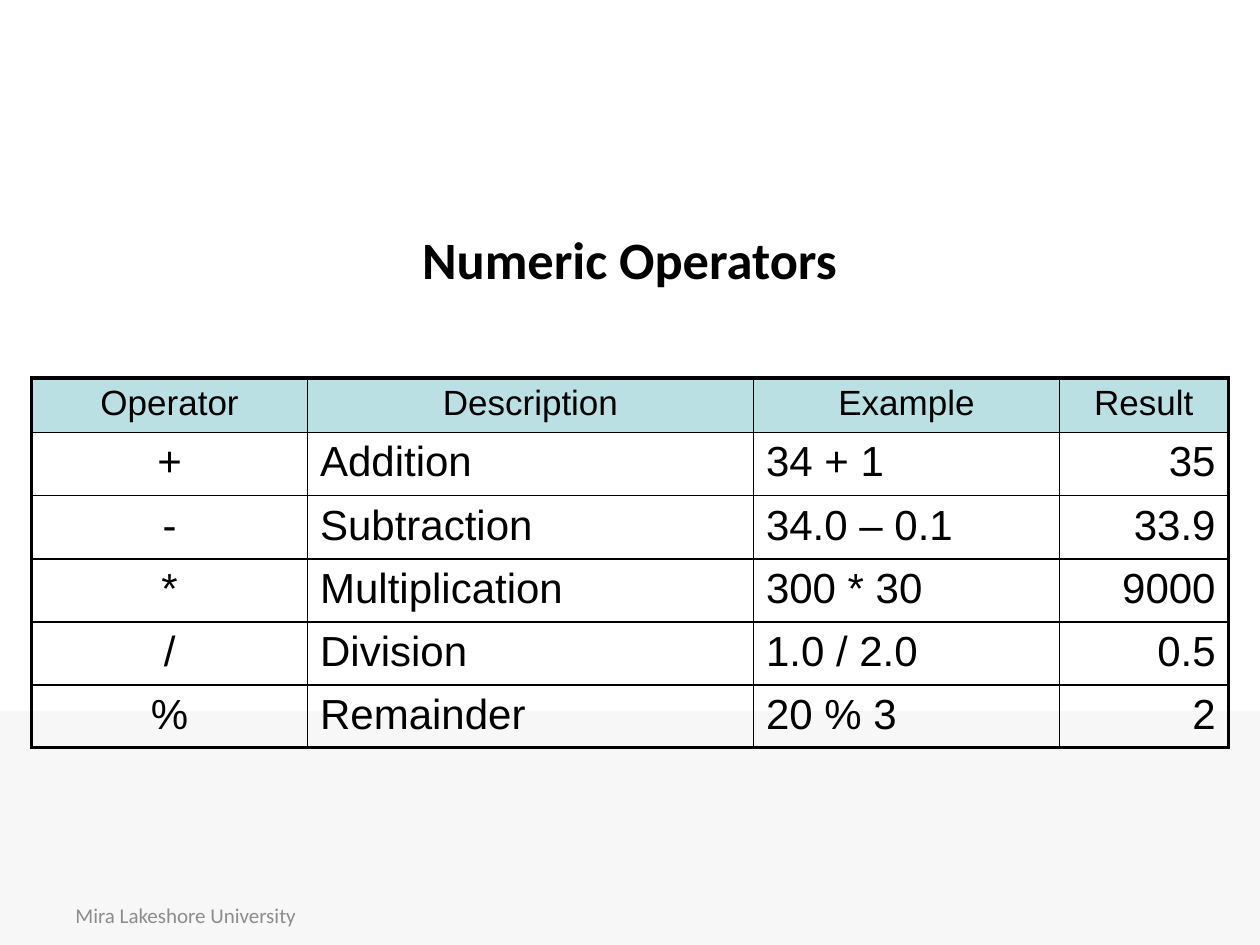
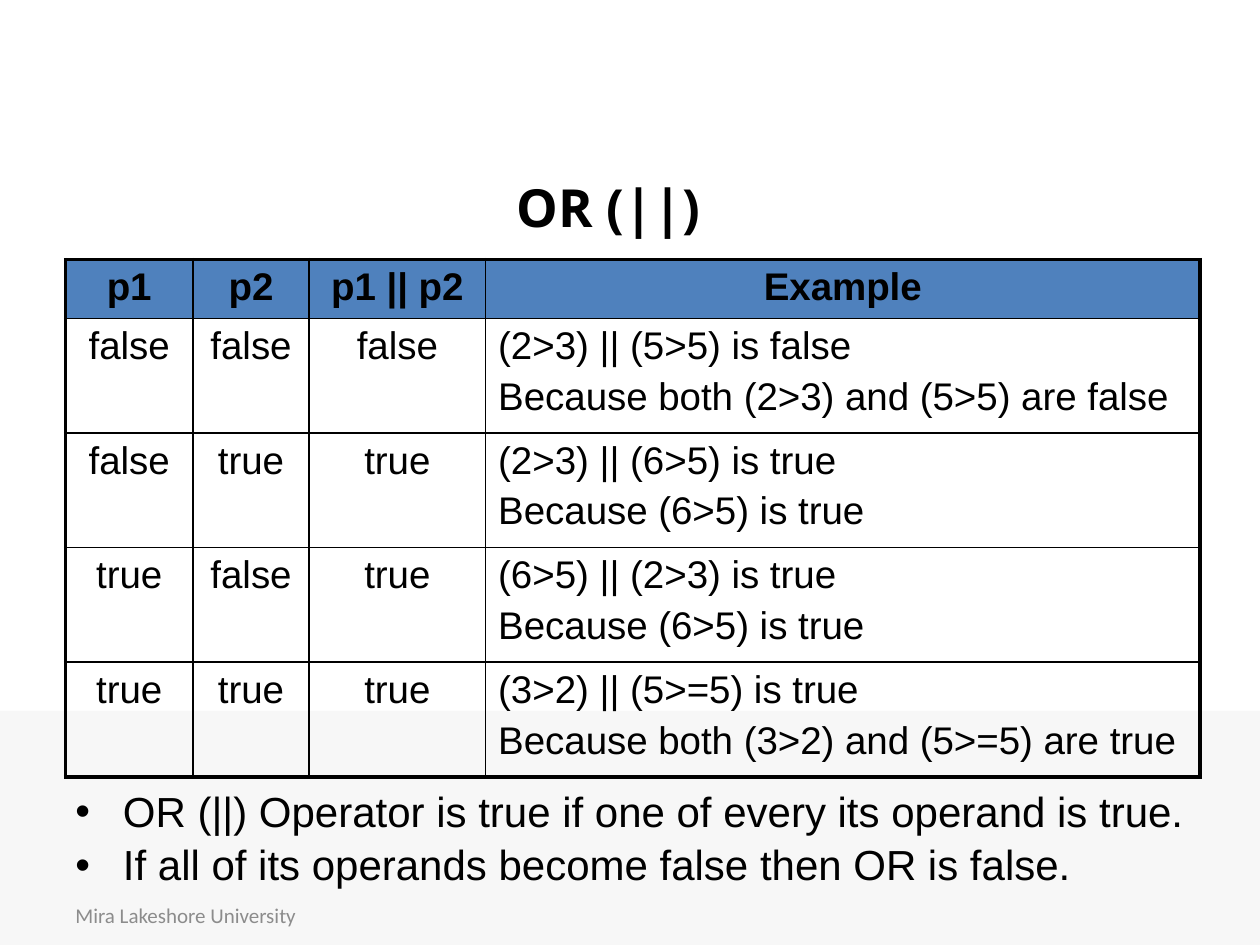
from lxml.etree import SubElement
from pptx import Presentation
from pptx.dml.color import RGBColor
from pptx.enum.shapes import MSO_SHAPE
from pptx.enum.text import MSO_ANCHOR, MSO_AUTO_SIZE, PP_ALIGN
from pptx.oxml.ns import qn
from pptx.util import Cm, Pt

COLOURS = {
    "text": "000000",
    "border": "000000",
    "band": "F7F7F7",
    "footer": "8C8C8C",
    "aqua": "BBE0E3",
    "blue": "4F81BD",
}
WIDTH, HEIGHT = 25.4, 19.05
INDENT = 0.96
LEFT, CENTER, RIGHT = PP_ALIGN.LEFT, PP_ALIGN.CENTER, PP_ALIGN.RIGHT
TITLE_FONT = {"name": "Calibri", "size": Pt(30), "bold": True}

NUMERIC_TABLE = {
    "columns": [5.56, 8.99, 6.17, 3.4],
    "alignments": [CENTER, LEFT, LEFT, RIGHT],
    "row_heights": [1.03] + [1.2] * 5,
    "header_fill": "aqua",
    "header_font": {"name": "Arial", "size": Pt(20), "bold": False},
    "body_font": {"name": "Arial", "size": Pt(24), "bold": False},
    "outer_width": 2,
    "paragraph": {"hanging": True},
    "rows": [
        ["Operator", "Description", "Example", "Result"],
        ["+", "Addition", "34 + 1", "35"],
        ["-", "Subtraction", "34.0 – 0.1", "33.9"],
        ["*", "Multiplication", "300 * 30", "9000"],
        ["/", "Division", "1.0 / 2.0", "0.5"],
        ["%", "Remainder", "20 % 3", "2"],
    ],
}
OR_TABLE = {
    "columns": [2.57, 2.34, 3.56, 14.4],
    "alignments": [CENTER, CENTER, CENTER, LEFT],
    "row_heights": [1.19] + [2.31] * 4,
    "header_fill": "blue",
    "header_font": {"name": "Arial", "size": Pt(22), "bold": True},
    "body_font": {"name": "Arial", "size": Pt(22), "bold": False},
    "outer_width": 2.25,
    "paragraph": {"space_before": 20},
    "rows": [
        ["p1", "p2", "p1 || p2", "Example"],
        ["false", "false", "false",
         "(2>3) || (5>5) is false\nBecause both (2>3) and (5>5) are false"],
        ["false", "true", "true",
         "(2>3) || (6>5) is true\nBecause (6>5) is true"],
        ["true", "false", "true",
         "(6>5) || (2>3) is true\nBecause (6>5) is true"],
        ["true", "true", "true",
         "(3>2) || (5>=5) is true\nBecause both (3>2) and (5>=5) are true"],
    ],
}
OR_NOTES = [
    "OR (||) Operator is true if one of every its operand is true.",
    "If all of its operands become false then OR is false.",
]


def apply_format(target, values):
    """Set each attribute of the target from a dict of format values."""
    for name, value in values.items():
        setattr(target, name, value)


def colour(name):
    """Return the named palette colour."""
    return RGBColor.from_string(COLOURS[name])


def style_paragraph(paragraph, hanging=False, space_before=None, bullet=None):
    """Set hanging indent, percentage space before and bullet."""
    properties = paragraph._p.get_or_add_pPr()
    if hanging:
        properties.set("marL", str(Cm(INDENT)))
        properties.set("indent", str(-Cm(INDENT)))
    if space_before:
        spacing = SubElement(properties, qn("a:spcBef"))
        SubElement(spacing, qn("a:spcPct"), val=str(space_before * 1000))
    if bullet:
        SubElement(properties, qn("a:buFont"), typeface="Arial")
        SubElement(properties, qn("a:buChar"), char=bullet)


def write_lines(text_frame, lines, font, text_colour="text", layout=None, **style):
    """Write one styled paragraph for each line."""
    for index, line in enumerate(lines):
        paragraph = text_frame.add_paragraph() if index else text_frame.paragraphs[0]
        apply_format(paragraph, layout or {})
        style_paragraph(paragraph, **style)
        run = paragraph.add_run()
        run.text = line
        apply_format(run.font, font)
        run.font.color.rgb = colour(text_colour)


def add_text(slide, box, lines, font, frame=None, **style):
    """Add a wrapping text box in the given box."""
    text_frame = slide.shapes.add_textbox(*map(Cm, box)).text_frame
    apply_format(text_frame, {"word_wrap": True, **(frame or {})})
    write_lines(text_frame, lines, font, **style)


def set_borders(cell, widths):
    """Draw the left, right, top and bottom borders of a cell."""
    properties = cell._tc.get_or_add_tcPr()
    for side, width in zip("LRTB", widths):
        line = SubElement(properties, qn(f"a:ln{side}"), w=str(Pt(width)))
        fill = SubElement(line, qn("a:solidFill"))
        SubElement(fill, qn("a:srgbClr"), val=COLOURS["border"])


def add_grid(slide, left, top, content):
    """Add a bordered table with a filled header row."""
    rows, columns, heights = (content[key] for key in ("rows", "columns", "row_heights"))
    box = (left, top, sum(columns), sum(heights))
    table = slide.shapes.add_table(len(rows), len(columns), *map(Cm, box)).table
    apply_format(table, {"first_row": False, "horz_banding": False})
    for column, width in zip(table.columns, columns):
        column.width = Cm(width)
    for row, height in zip(table.rows, heights):
        row.height = Cm(height)
    last_row, last_column = len(rows) - 1, len(columns) - 1
    for row_index, row in enumerate(rows):
        header = row_index == 0
        for column_index, text in enumerate(row):
            cell = table.cell(row_index, column_index)
            edges = (column_index == 0, column_index == last_column,
                     header, row_index == last_row)
            set_borders(cell, [content["outer_width"] if edge else 1 for edge in edges])
            if header:
                cell.fill.solid()
                cell.fill.fore_color.rgb = colour(content["header_fill"])
            else:
                cell.fill.background()
            alignment = CENTER if header else content["alignments"][column_index]
            write_lines(cell.text_frame, text.split("\n"),
                        content["header_font" if header else "body_font"],
                        layout={"alignment": alignment}, **content["paragraph"])


def add_base_slide(presentation):
    """Add a blank slide with the shared lower band and footer."""
    slide = presentation.slides.add_slide(presentation.slide_layouts[6])
    band_top = 14.33
    band = slide.shapes.add_shape(
        MSO_SHAPE.RECTANGLE, *map(Cm, (0, band_top, WIDTH, HEIGHT - band_top)))
    band.shadow.inherit = False
    band.fill.solid()
    band.fill.fore_color.rgb = colour("band")
    band.line.fill.background()
    add_text(slide, (1.27, 17.93, 5.92, 1.02), ["Mira Lakeshore University"],
             {"name": "Calibri", "size": Pt(12)}, text_colour="footer",
             frame={"vertical_anchor": MSO_ANCHOR.MIDDLE})
    return slide


def build_numeric_slide(presentation):
    """Build the slide of numeric operators."""
    slide = add_base_slide(presentation)
    add_grid(slide, 0.64, 7.62, NUMERIC_TABLE)
    add_text(slide, (8.26, 4.45, 16.15, 1.55), ["Numeric Operators"], TITLE_FONT,
             frame={"auto_size": MSO_AUTO_SIZE.SHAPE_TO_FIT_TEXT})


def build_or_slide(presentation):
    """Build the slide of the OR truth table."""
    slide = add_base_slide(presentation)
    add_text(slide, (0.84, 3.15, 22.86, 2.01), ["OR (||)"],
             {**TITLE_FONT, "name": "Open Sans"}, layout={"alignment": CENTER},
             frame={"vertical_anchor": MSO_ANCHOR.MIDDLE})
    add_grid(slide, 1.32, 5.23, OR_TABLE)
    add_text(slide, (1.27, 15.82, 22.86, 4.19), OR_NOTES,
             {"name": "Arial", "size": Pt(24)}, layout={"line_spacing": 0.9},
             hanging=True, space_before=20, bullet="•")


def main():
    """Build and save the presentation."""
    presentation = Presentation()
    apply_format(presentation, {"slide_width": Cm(WIDTH), "slide_height": Cm(HEIGHT)})
    build_numeric_slide(presentation)
    build_or_slide(presentation)
    presentation.save("out.pptx")


main()
